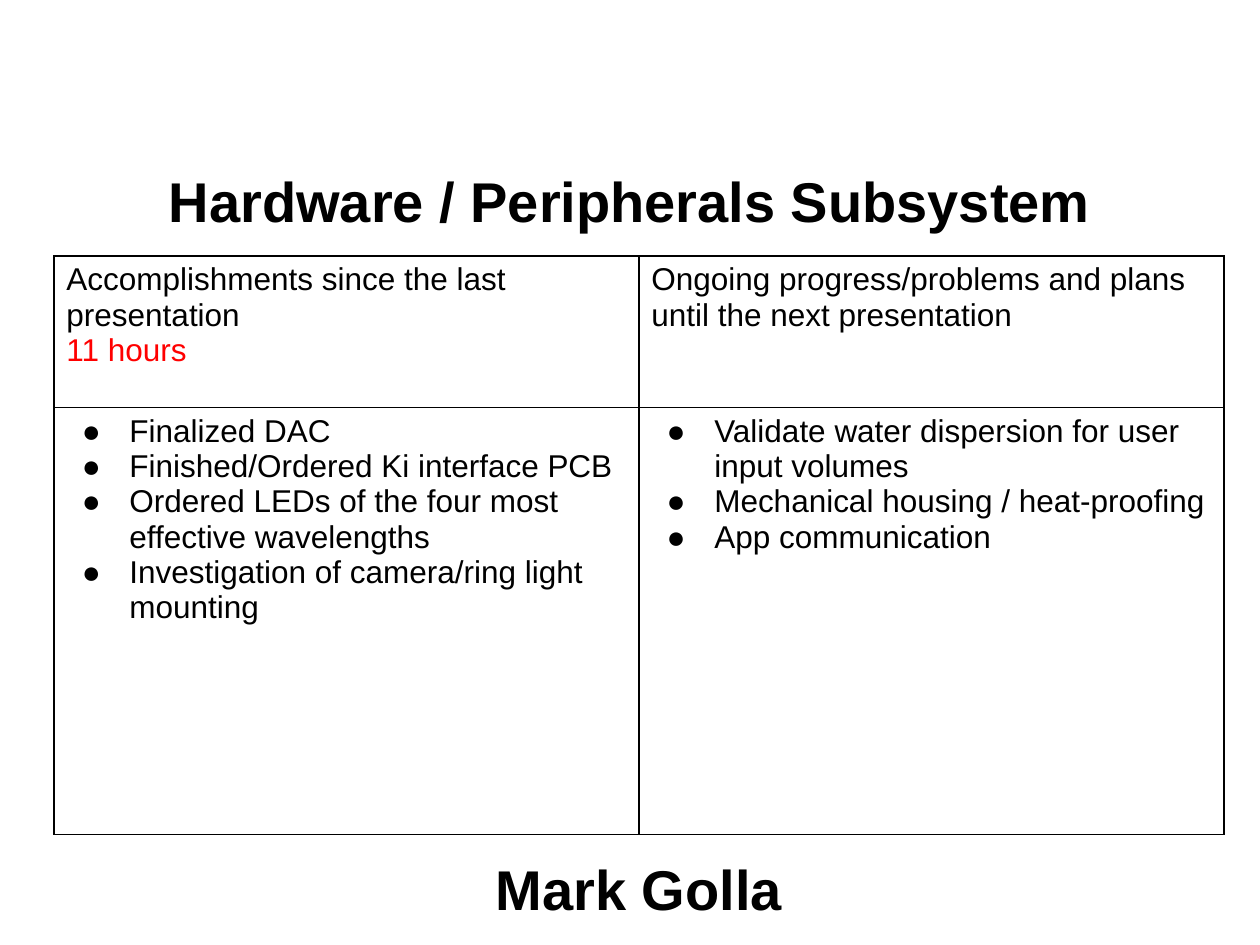
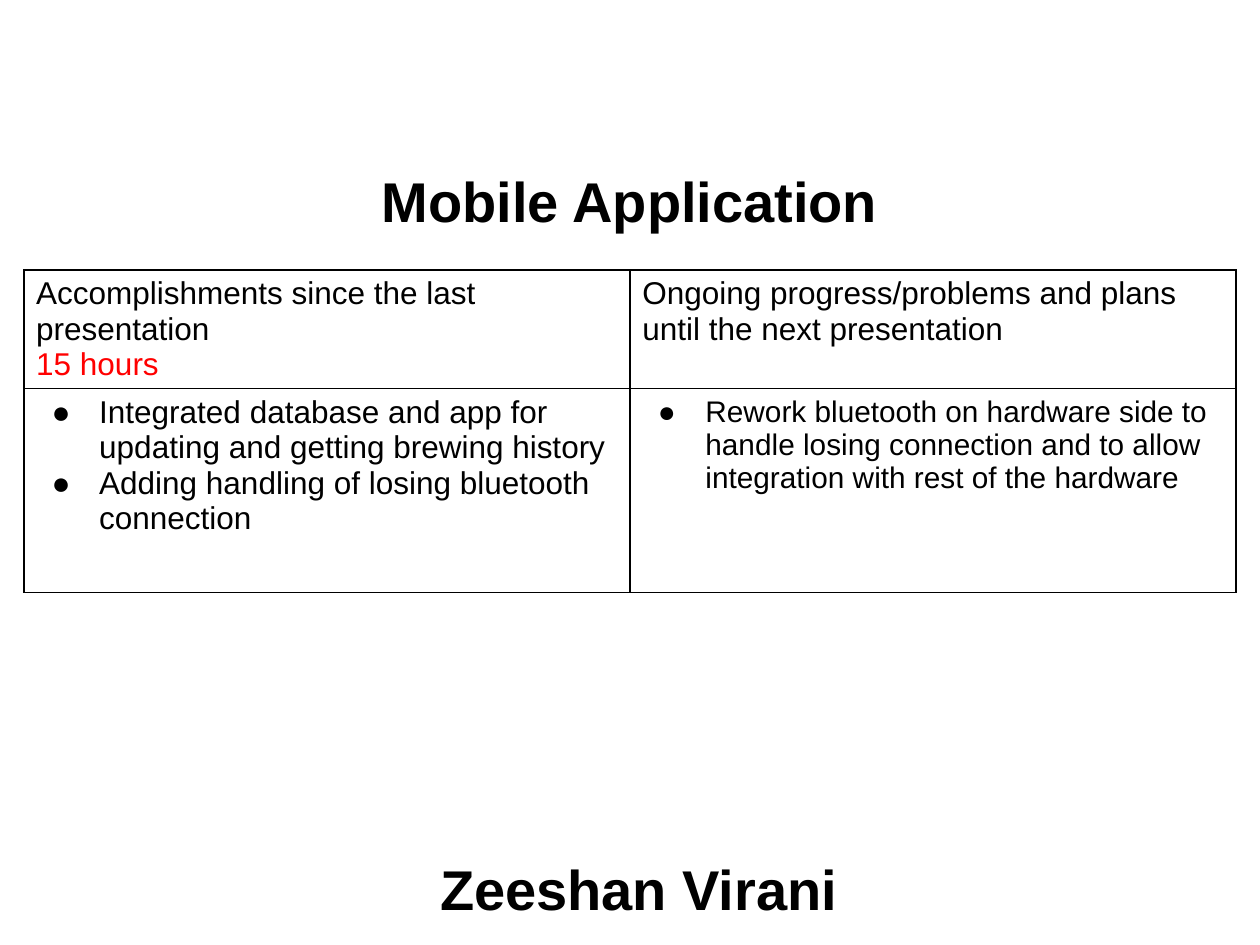
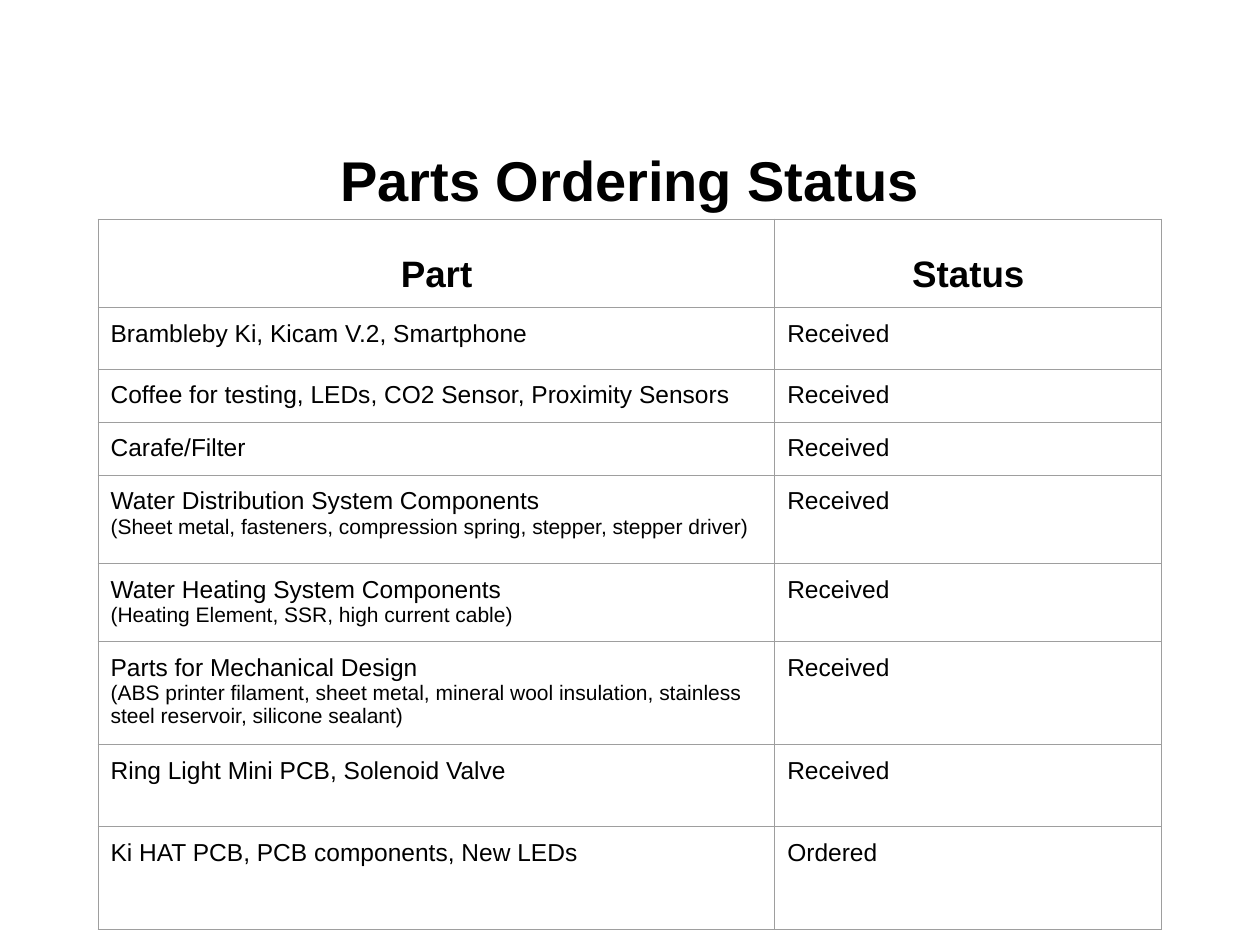
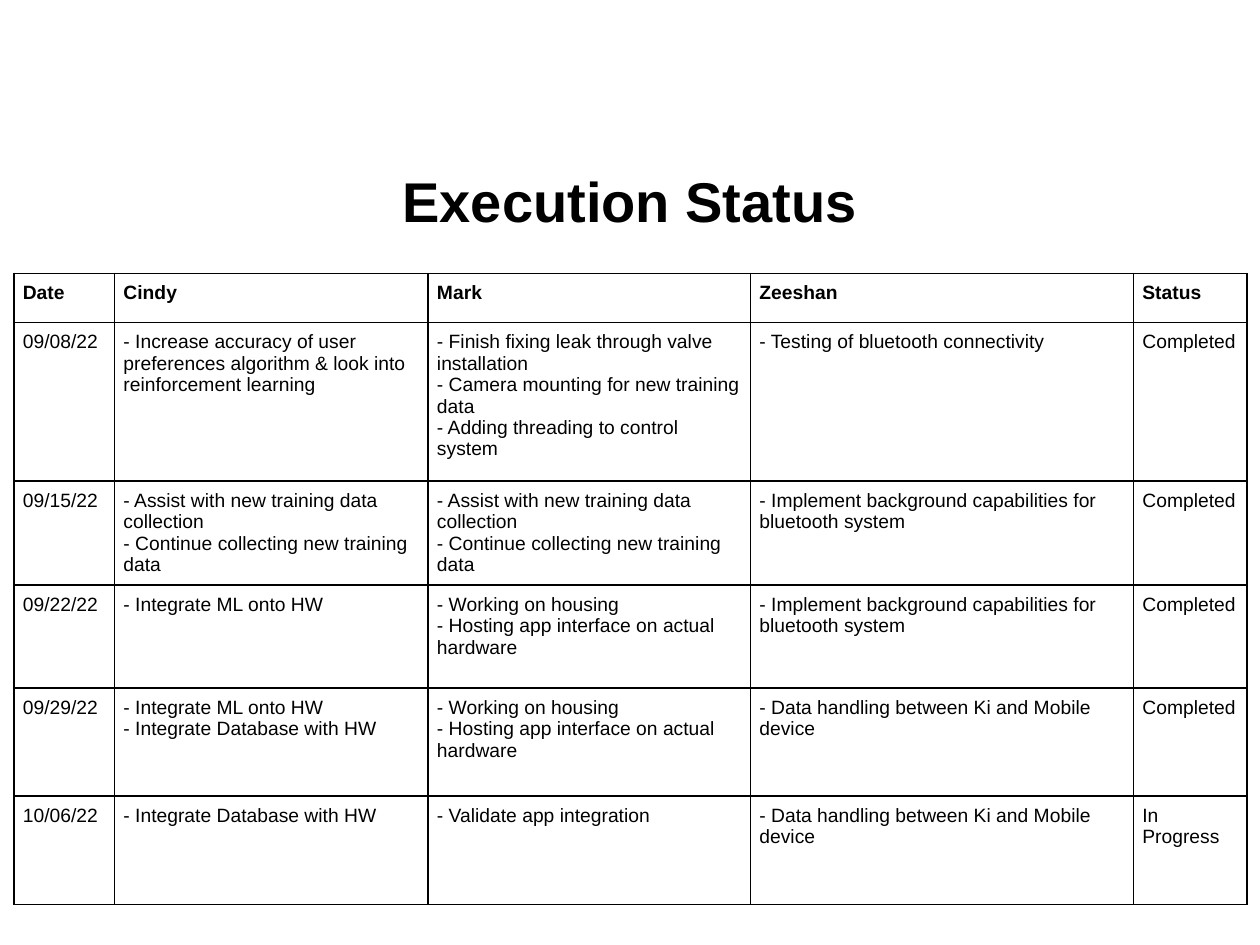
"""Build the four status slides of a project progress presentation."""
from dataclasses import dataclass

from lxml import etree
from pptx import Presentation
from pptx.dml.color import RGBColor
from pptx.enum.text import MSO_ANCHOR, MSO_AUTO_SIZE, PP_ALIGN
from pptx.oxml.ns import qn
from pptx.util import Cm, Pt

CENTER, LEFT = PP_ALIGN.CENTER, PP_ALIGN.LEFT
TOP, MIDDLE, BOTTOM = MSO_ANCHOR.TOP, MSO_ANCHOR.MIDDLE, MSO_ANCHOR.BOTTOM
NO_FIT = MSO_AUTO_SIZE.NONE
COVER_LAYOUT, TITLE_ONLY_LAYOUT = 0, 5


@dataclass(frozen=True)
class Theme:
    """Colours, font and type sizes shared by all slides."""

    font: str = "Arial"
    ink: str = "000000"
    accent: str = "FF0000"
    grey: str = "9E9E9E"
    title: int = 32
    header: int = 21
    report: int = 18
    report_small: int = 17
    component: int = 14
    detail: int = 12
    schedule: int = 11


THEME = Theme()


@dataclass(frozen=True)
class Style:
    """Look of one paragraph."""

    size: int
    color: str = THEME.ink
    bold: bool = False
    align: PP_ALIGN = LEFT
    bulleted: bool = False


@dataclass(frozen=True)
class Grid:
    """Place, track sizes in centimetres, and borders of a table."""

    left: float
    top: float
    columns: tuple
    rows: tuple
    margin_x: float = 0.25
    margin_y: float = 0.13
    border: str = THEME.ink
    border_width: float = 1


TITLE = Style(THEME.title, bold=True, align=CENTER)
REPORT = Style(THEME.report)
HOURS = Style(THEME.report, THEME.accent)
TASK = Style(THEME.report, bulleted=True)
SMALL_TASK = Style(THEME.report_small, bulleted=True)
COMPONENT_HEADER = Style(THEME.header, bold=True, align=CENTER)
COMPONENT = Style(THEME.component)
DETAIL = Style(THEME.detail)
DATE_HEADER = Style(THEME.schedule, bold=True)
DATE_ENTRY = Style(THEME.schedule)

TITLE_BOX = (1.27, 2.92, 22.86, 2.24)
HIGH_TITLE_BOX = (1.27, 2.49, 22.86, 2.24)
NAME_BOX = (1.45, 16.79, 22.86, 2.24)

HARDWARE_GRID = Grid(1.09, 5.16, (11.79,) * 2, (3.05, 8.61))
APP_GRID = Grid(0.48, 5.44, (12.22,) * 2, (2.38, 4.11))
COMPONENTS_GRID = Grid(1.98, 4.42, (13.64, 7.8),
                       (1.78, 1.24, 1.07, 1.07, 1.78, 1.57, 2.08, 1.65, 2.08),
                       margin_y=0.25, border=THEME.grey, border_width=0.75)
SCHEDULE_GRID = Grid(0.28, 5.51, (2.03, 6.32, 6.5, 7.72, 2.29),
                     (0.99, 3.2, 2.08, 2.08, 2.18, 2.18),
                     margin_x=0.18, margin_y=0.18)

HARDWARE_DONE = [
    "Finalized DAC",
    "Finished/Ordered Ki interface PCB",
    "Ordered LEDs of the four most effective wavelengths",
    "Investigation of camera/ring light mounting",
]
HARDWARE_PLANS = [
    "Validate water dispersion for user input volumes",
    "Mechanical housing / heat-proofing",
    "App communication",
]
APP_DONE = [
    "Integrated database and app for updating and getting brewing history",
    "Adding handling of losing bluetooth connection",
]
APP_PLANS = [
    "Rework bluetooth on hardware side to handle losing connection and to "
    "allow integration with rest of the hardware",
]
COMPONENTS = [
    ("Brambleby Ki, Kicam V.2, Smartphone", "", "Received"),
    ("Coffee for testing, LEDs, CO2 Sensor, Proximity Sensors", "", "Received"),
    ("Carafe/Filter", "", "Received"),
    ("Water Distribution System Components",
     "(Sheet metal, fasteners, compression spring, stepper, stepper driver)",
     "Received"),
    ("Water Heating System Components",
     "(Heating Element, SSR, high current cable)", "Received"),
    ("Parts for Mechanical Design",
     "(ABS printer filament, sheet metal, mineral wool insulation, stainless "
     "steel reservoir, silicone sealant)", "Received"),
    ("Ring Light Mini PCB, Solenoid Valve", "", "Received"),
    ("Ki HAT PCB, PCB components, New LEDs", "", "Ordered"),
]
COLLECTION = ["- Assist with new training data collection",
              "- Continue collecting new training data"]
HOUSING = ["- Working on housing", "- Hosting app interface on actual hardware"]
BACKGROUND = ["- Implement background capabilities for bluetooth system"]
DATA_HANDLING = ["- Data handling between Ki and Mobile device"]
ML = "- Integrate ML onto HW"
DATABASE = "- Integrate Database with HW"
SCHEDULE_HEADER = ["Date", "Cindy", "Mark", "Zeeshan", "Status"]
SCHEDULE = [
    ("09/08/22",
     ["- Increase accuracy of user preferences algorithm & look into "
      "reinforcement learning"],
     ["- Finish fixing leak through valve installation",
      "- Camera mounting for new training data",
      "- Adding threading to control system"],
     ["- Testing of bluetooth connectivity"], "Completed"),
    ("09/15/22", COLLECTION, COLLECTION, BACKGROUND, "Completed"),
    ("09/22/22", [ML], HOUSING, BACKGROUND, "Completed"),
    ("09/29/22", [ML, DATABASE], HOUSING, DATA_HANDLING, "Completed"),
    ("10/06/22", [DATABASE], ["- Validate app integration"], DATA_HANDLING,
     "In Progress"),
]


def styled(texts, style):
    """Pair each text with one style."""
    return [(text, style) for text in texts]


def add_bullet(para, color):
    """Give a paragraph a hanging round bullet."""
    properties = para._p.get_or_add_pPr()
    properties.set("marL", str(Cm(1.27)))
    properties.set("indent", str(Cm(-0.96)))
    bullet_color = etree.SubElement(properties, qn("a:buClr"))
    etree.SubElement(bullet_color, qn("a:srgbClr"), val=color)
    etree.SubElement(properties, qn("a:buFont"), typeface=THEME.font)
    etree.SubElement(properties, qn("a:buChar"), char="●")


def write_lines(frame, lines):
    """Fill a text frame with one styled paragraph per line."""
    for index, (text, style) in enumerate(lines):
        para = frame.add_paragraph() if index else frame.paragraphs[0]
        para.text = text
        para.alignment = style.align
        para.space_before = Pt(0)
        if style.bulleted:
            add_bullet(para, style.color)
        font = para.font
        font.name, font.size, font.bold = THEME.font, Pt(style.size), style.bold
        font.color.rgb = RGBColor.from_string(style.color)


def place_heading(holder, text, box):
    """Move a placeholder to its box and write a large centred heading."""
    holder.left, holder.top, holder.width, holder.height = map(Cm, box)
    frame = holder.text_frame
    frame.auto_size = NO_FIT
    frame.word_wrap = True
    frame.vertical_anchor = MIDDLE
    write_lines(frame, [(text, TITLE)])


def draw_borders(cell, color, width):
    """Draw a solid line on all four sides of a cell."""
    properties = cell._tc.get_or_add_tcPr()
    for side in ("a:lnL", "a:lnR", "a:lnT", "a:lnB"):
        line = etree.SubElement(properties, qn(side), w=str(Pt(width)))
        fill = etree.SubElement(line, qn("a:solidFill"))
        etree.SubElement(fill, qn("a:srgbClr"), val=color)


def add_grid(page, grid, content, header_anchor=TOP):
    """Add a plain ruled table holding rows of cells of styled lines."""
    frame = page.shapes.add_table(
        len(grid.rows), len(grid.columns), Cm(grid.left), Cm(grid.top),
        Cm(sum(grid.columns)), Cm(sum(grid.rows)))
    table = frame.table
    table.first_row = table.horz_banding = False
    for column, width in zip(table.columns, grid.columns):
        column.width = Cm(width)
    for index, (row, height, entries) in enumerate(
            zip(table.rows, grid.rows, content)):
        row.height = Cm(height)
        for cell, lines in zip(row.cells, entries):
            cell.margin_left = cell.margin_right = Cm(grid.margin_x)
            cell.margin_top = cell.margin_bottom = Cm(grid.margin_y)
            cell.vertical_anchor = TOP if index else header_anchor
            draw_borders(cell, grid.border, grid.border_width)
            cell.fill.background()
            write_lines(cell.text_frame, lines)


def add_titled_page(deck, layout, title, box=TITLE_BOX):
    """Add a page with its title in place."""
    page = deck.slides.add_slide(deck.slide_layouts[layout])
    place_heading(page.shapes.title, title, box)
    return page


def add_report_page(deck, title, name, hours, grid, done, plans):
    """Add a subsystem report with its owner's name below."""
    page = add_titled_page(deck, COVER_LAYOUT, title)
    header = [
        [("Accomplishments since the last presentation", REPORT), (hours, HOURS)],
        [("Ongoing progress/problems and plans until the next presentation",
          REPORT)],
    ]
    add_grid(page, grid, [header, [done, plans]])
    place_heading(page.placeholders[1], name, NAME_BOX)


def add_components_page(deck):
    """Add the list of ordered components and their status."""
    page = add_titled_page(deck, TITLE_ONLY_LAYOUT, "Parts Ordering Status",
                           HIGH_TITLE_BOX)
    content = [[[("Part", COMPONENT_HEADER)], [("Status", COMPONENT_HEADER)]]]
    for component, detail, status in COMPONENTS:
        lines = [(component, COMPONENT)]
        if detail:
            lines.append((detail, DETAIL))
        content.append([lines, [(status, COMPONENT)]])
    add_grid(page, COMPONENTS_GRID, content, BOTTOM)


def add_schedule_page(deck):
    """Add the weekly schedule of each team member."""
    page = add_titled_page(deck, TITLE_ONLY_LAYOUT, "Execution Status")
    content = [[[(label, DATE_HEADER)] for label in SCHEDULE_HEADER]]
    for date, *tasks, status in SCHEDULE:
        content.append([styled(texts, DATE_ENTRY)
                        for texts in ([date], *tasks, [status])])
    add_grid(page, SCHEDULE_GRID, content)


def main():
    """Build and save the deck."""
    deck = Presentation()
    deck.slide_width, deck.slide_height = Cm(25.4), Cm(19.05)
    add_report_page(deck, "Hardware / Peripherals Subsystem", "Mark Golla",
                    "11 hours", HARDWARE_GRID, styled(HARDWARE_DONE, TASK),
                    styled(HARDWARE_PLANS, TASK))
    add_report_page(deck, "Mobile Application", "Zeeshan Virani",
                    "15 hours", APP_GRID, styled(APP_DONE, TASK),
                    styled(APP_PLANS, SMALL_TASK))
    add_components_page(deck)
    add_schedule_page(deck)
    deck.save("out.pptx")


if __name__ == "__main__":
    main()
